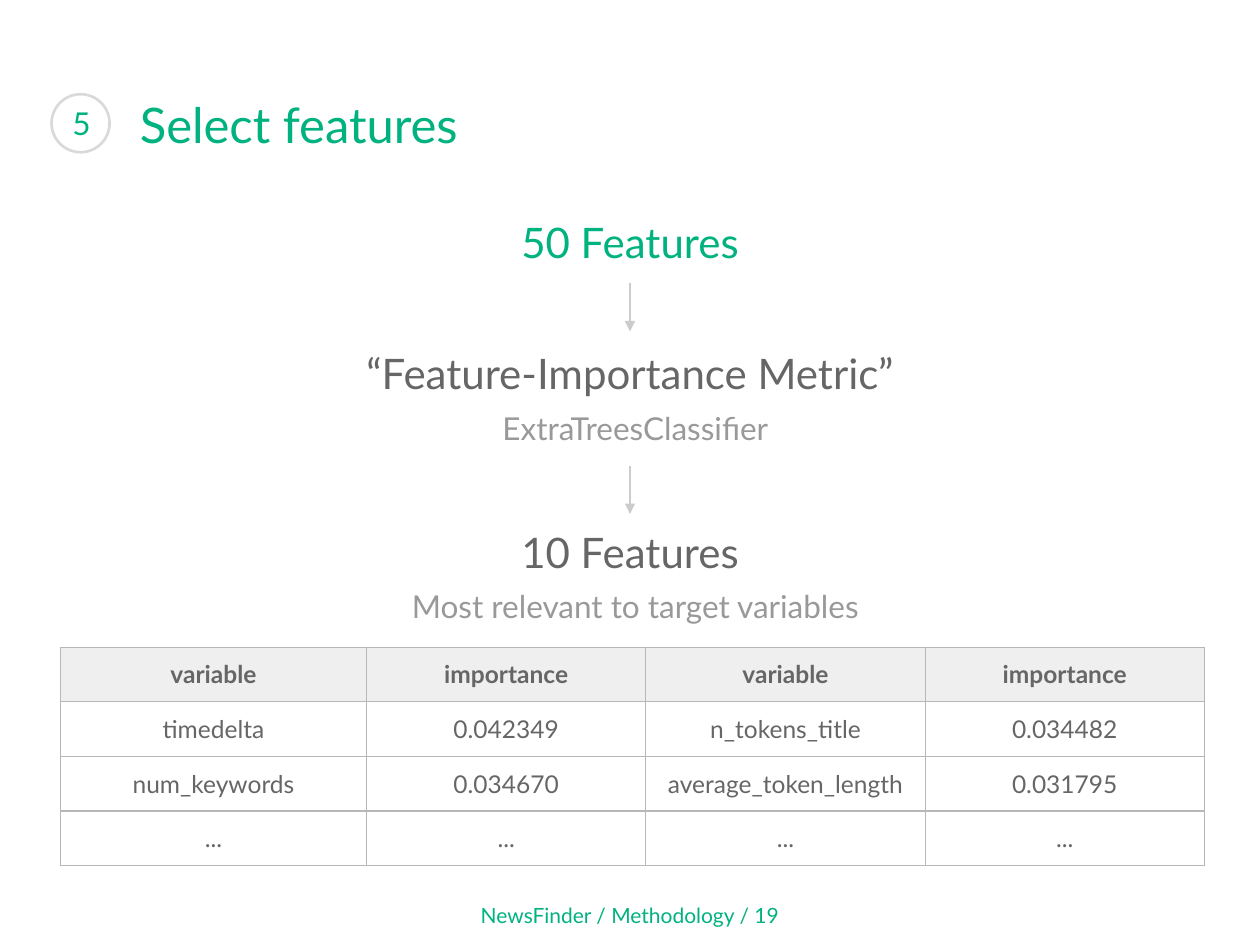
from dataclasses import dataclass

import lxml.etree
import pptx
import pptx.dml.color
import pptx.enum.shapes
import pptx.enum.text
import pptx.oxml
import pptx.oxml.ns
import pptx.util

Cm = pptx.util.Cm
Pt = pptx.util.Pt
ALIGN = pptx.enum.text.PP_ALIGN
ANCHOR = pptx.enum.text.MSO_ANCHOR

FONT = "Lato"
GREEN = "00B27F"
DARK = "666666"
GREY = "999999"
ARROW_GREY = "CCCCCC"
RING_GREY = "D9D9D9"
BORDER_GREY = "B7B7B7"
HEADER_GREY = "EFEFEF"
CENTRE = 12.7
INSET = Cm(0.25)


@dataclass
class Label:
    text: str
    left: float
    top: float
    width: float
    height: float
    size: float
    color: str = GREEN
    align: ALIGN = ALIGN.CENTER
    anchor: ANCHOR = ANCHOR.MIDDLE
    detail: str = ""


def rgb(color: str) -> pptx.dml.color.RGBColor:
    return pptx.dml.color.RGBColor.from_string(color)


def style_run(run, size: float, color: str, bold: bool = False) -> None:
    run.font.name = FONT
    run.font.size = Pt(size)
    run.font.bold = bold
    run.font.color.rgb = rgb(color)


def fill_text(shape, label: Label) -> None:
    frame = shape.text_frame
    frame.word_wrap = True
    frame.vertical_anchor = label.anchor
    frame.margin_left = frame.margin_right = INSET
    frame.margin_top = frame.margin_bottom = INSET
    frame.text = label.text
    heading = frame.paragraphs[0]
    heading.alignment = label.align
    style_run(heading.runs[0], label.size, label.color)
    if label.detail:
        line = frame.add_paragraph()
        line.alignment = label.align
        line.text = " "
        style_run(line.runs[0], label.size, label.color)
        detail = line.add_run()
        detail.text = label.detail
        style_run(detail, 18, GREY)


def draw_label(slide, label: Label):
    box = slide.shapes.add_textbox(
        Cm(label.left), Cm(label.top), Cm(label.width), Cm(label.height))
    fill_text(box, label)
    return box


def draw_step_number(slide, label: Label) -> None:
    ring = slide.shapes.add_shape(
        pptx.enum.shapes.MSO_SHAPE.OVAL,
        Cm(label.left), Cm(label.top), Cm(label.width), Cm(label.height))
    ring.shadow.inherit = False
    ring.fill.background()
    ring.line.color.rgb = rgb(RING_GREY)
    ring.line.width = Pt(1.5)
    fill_text(ring, label)


def draw_arrow(slide, top: float, bottom: float):
    arrow = slide.shapes.add_connector(
        pptx.enum.shapes.MSO_CONNECTOR.STRAIGHT,
        Cm(CENTRE), Cm(top), Cm(CENTRE), Cm(bottom))
    arrow.line.color.rgb = rgb(ARROW_GREY)
    arrow.line.width = Pt(1.5)
    head = lxml.etree.SubElement(
        arrow.line._get_or_add_ln(), pptx.oxml.ns.qn("a:tailEnd"))
    head.set("type", "triangle")
    lxml.etree.SubElement(
        arrow._element.spPr, pptx.oxml.ns.qn("a:effectLst"))
    return arrow


def draw_borders(cell) -> None:
    properties = cell._tc.get_or_add_tcPr()
    for position, side in enumerate(("lnL", "lnR", "lnT", "lnB")):
        border = pptx.oxml.parse_xml(
            f'<a:{side} {pptx.oxml.ns.nsdecls("a")} w="{Pt(0.75)}"><a:solidFill>'
            f'<a:srgbClr val="{BORDER_GREY}"/></a:solidFill></a:{side}>')
        properties.insert(position, border)


def draw_table(slide, rows: list[tuple[str, ...]], widths: list[float],
               row_height: float, left: float, top: float) -> None:
    table = slide.shapes.add_table(
        len(rows), len(widths), Cm(left), Cm(top),
        Cm(sum(widths)), Cm(row_height * len(rows))).table
    table.horz_banding = False
    for column, width in zip(table.columns, widths):
        column.width = Cm(width)
    for index, (row, values) in enumerate(zip(table.rows, rows)):
        row.height = Cm(row_height)
        is_header = index == 0
        for cell, value in zip(row.cells, values):
            cell.margin_left = cell.margin_right = INSET
            cell.margin_top = cell.margin_bottom = INSET
            if is_header:
                cell.fill.solid()
                cell.fill.fore_color.rgb = rgb(HEADER_GREY)
            else:
                cell.fill.background()
            cell.text_frame.text = value
            paragraph = cell.text_frame.paragraphs[0]
            paragraph.alignment = ALIGN.CENTER
            style_run(paragraph.runs[0], 14, DARK, is_header)
            draw_borders(cell)


def main() -> None:
    deck = pptx.Presentation()
    deck.slide_width = Cm(25.4)
    deck.slide_height = Cm(19.05)
    slide = deck.slides.add_slide(deck.slide_layouts[6])

    draw_label(slide, Label("NewsFinder / Methodology / 19",
                            6.35, 18.11, 12.7, 0.69, 12))
    draw_label(slide, Label("Select features", 2.57, 1.55, 21.9, 1.88, 28,
                            align=ALIGN.LEFT))
    draw_step_number(slide, Label("5", 1.04, 1.9, 1.17, 1.17, 18,
                                  align=ALIGN.LEFT))

    all_features = draw_label(slide, Label(
        "50 Features", 6.2, 4.11, 13, 1.6, 24, anchor=ANCHOR.TOP))
    draw_label(slide, Label(
        "“Feature-Importance Metric”", 5.2, 6.76, 15, 2.57, 24, DARK,
        anchor=ANCHOR.TOP, detail="ExtraTreesClassifier"))
    best_features = draw_label(slide, Label(
        "10 Features", 5.2, 10.36, 15, 2.57, 24, DARK,
        anchor=ANCHOR.TOP, detail="Most relevant to target variables"))

    draw_arrow(slide, 5.71, 6.68).begin_connect(all_features, 2)
    draw_arrow(slide, 9.4, 10.36).end_connect(best_features, 0)

    draw_table(slide, [
        ("variable", "importance") * 2,
        ("timedelta", "0.042349", "n_tokens_title", "0.034482"),
        ("num_keywords", "0.034670", "average_token_length", "0.031795"),
        ("...",) * 4,
    ], [6.17] + [5.63] * 3, 1.1, 1.22, 13.05)

    deck.save("out.pptx")


if __name__ == "__main__":
    main()
